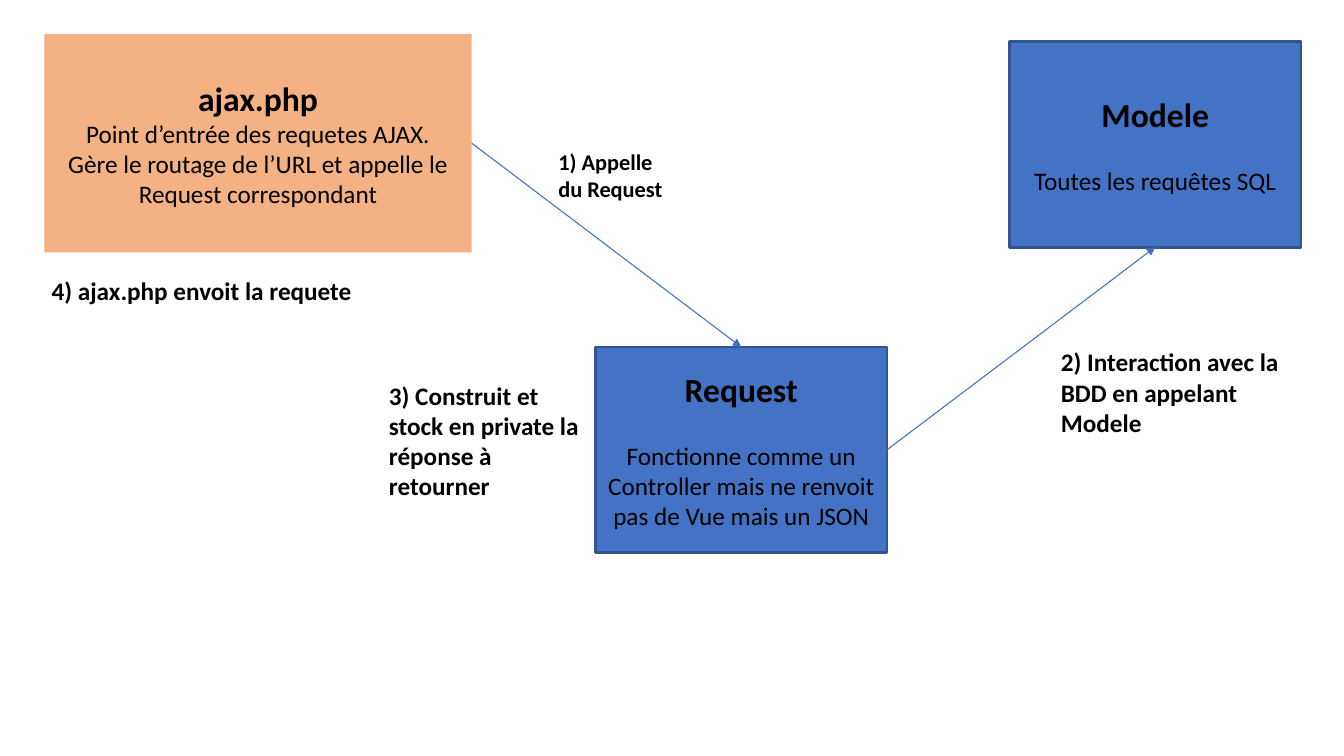
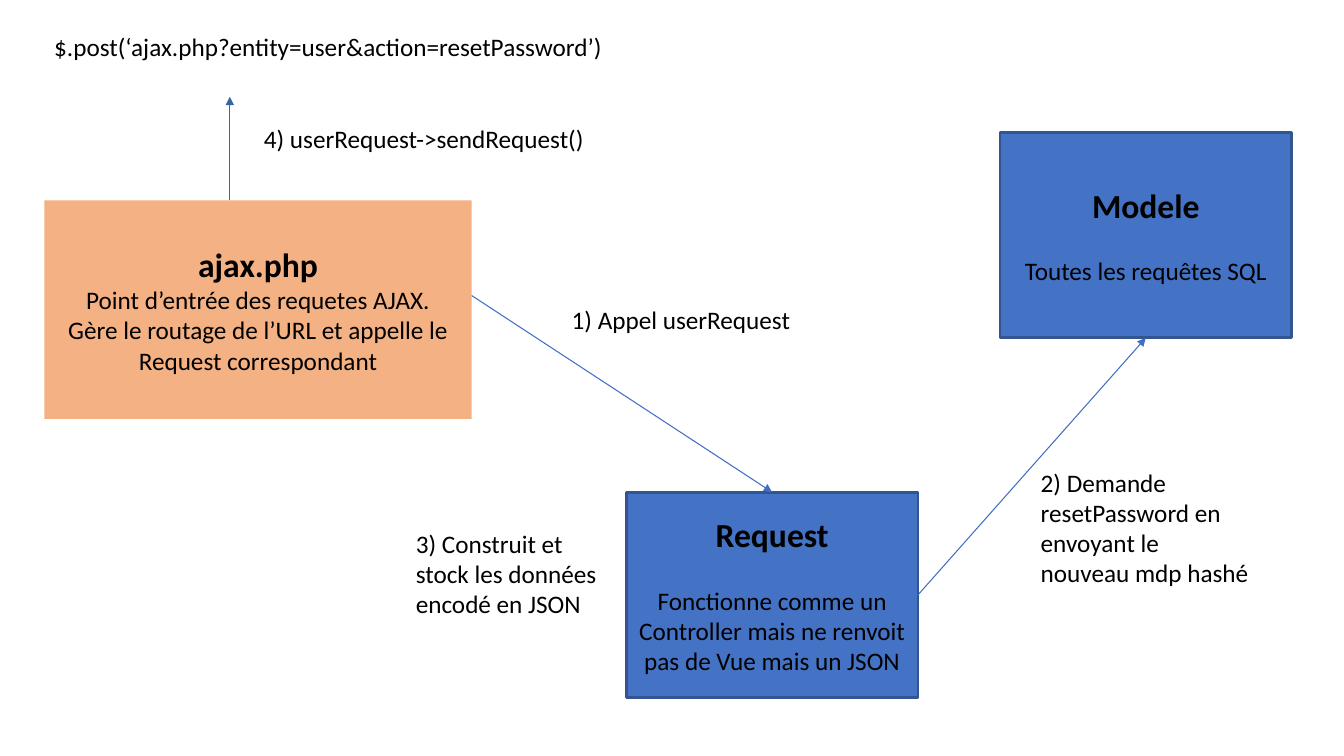
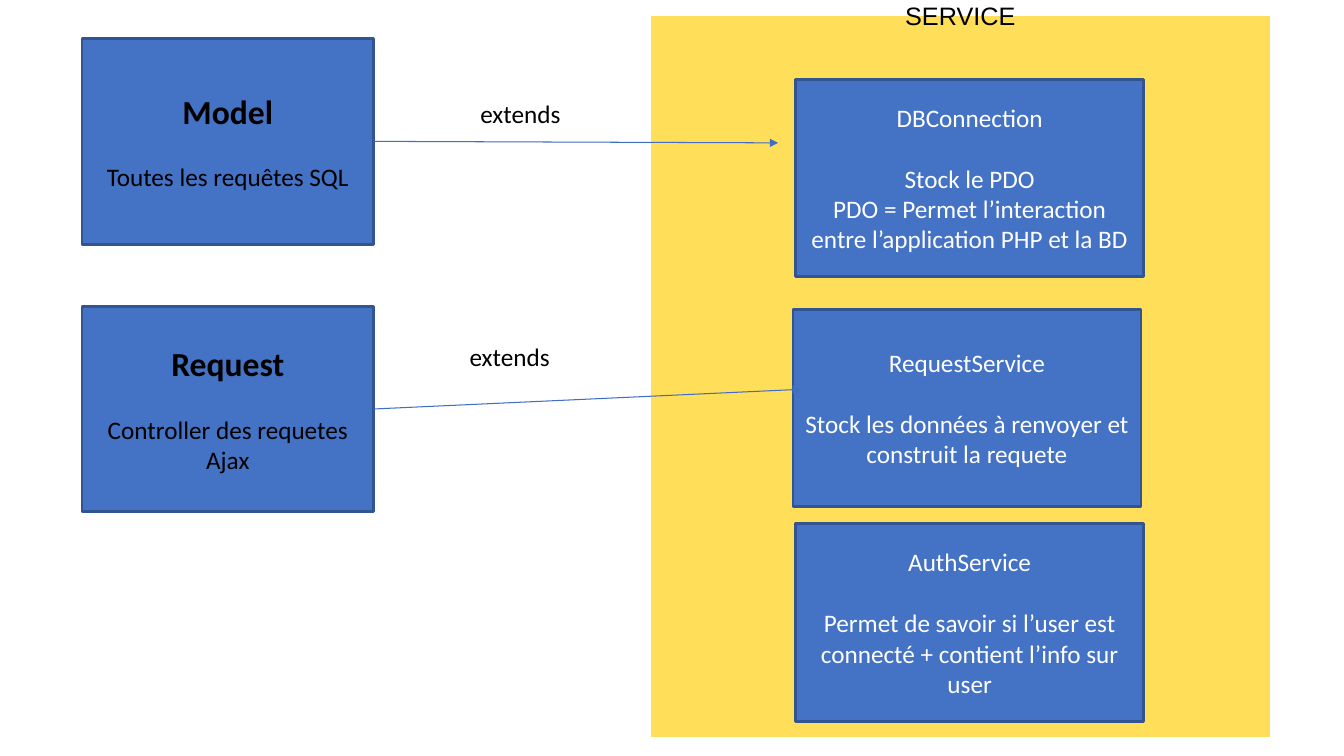
from typing import NamedTuple

from lxml import etree
from pptx import Presentation
from pptx import util as u
from pptx.dml.color import RGBColor
from pptx.enum import shapes, text
from pptx.oxml.ns import qn

WIDTH, HEIGHT = u.Inches(13.33), u.Inches(7.5)
COLUMNS = ROWS = 100

BLACK = RGBColor(0x00, 0x00, 0x00)
WHITE = RGBColor(0xFF, 0xFF, 0xFF)
BLUE = RGBColor(0x44, 0x72, 0xC4)
BLUE_EDGE = RGBColor(0x32, 0x54, 0x91)
ORANGE = RGBColor(0xF4, 0xB1, 0x83)
YELLOW = RGBColor(0xFF, 0xDE, 0x59)
FLOW = RGBColor(0x3F, 0x6E, 0xC2)
REPLY = RGBColor(0x34, 0x65, 0xA4)

ENTRY_SIZE = (31.8, 28.9)
CLASS_SIZE = (21.7, 27.2)
SERVICE_SIZE = (25.9, 26.1)
TOP, BOTTOM, RIGHT = 0, 2, 3
LINE_GAP = 22

ENTRY_ROLE = ("Point d’entrée des requetes AJAX.\n"
              "Gère le routage de l’URL et appelle le Request correspondant")
REQUEST_ROLE = "Fonctionne comme un Controller mais ne renvoit pas de Vue mais un JSON"
MODEL_ROLE = "Toutes les requêtes SQL"


class Site(NamedTuple):
    box: object
    index: int


def grid(column, row):
    return round(WIDTH * column / COLUMNS), round(HEIGHT * row / ROWS)


def write(frame, content, *, size=18, bold=False, color=BLACK, font="Calibri",
          align=text.PP_ALIGN.LEFT, after=0):
    for line in content.split("\n"):
        paragraph = frame.add_paragraph() if frame.text else frame.paragraphs[0]
        paragraph.alignment = align
        paragraph.space_after = u.Pt(after)
        run = paragraph.add_run()
        run.text = line
        run.font.size = u.Pt(size)
        run.font.bold = bold
        run.font.name = font
        run.font.color.rgb = color


def box(slide, place, extent, fill, edge=None, edge_width=2):
    rectangle = slide.shapes.add_shape(
        shapes.MSO_SHAPE.RECTANGLE, *grid(*place), *grid(*extent))
    rectangle.shadow.inherit = False
    rectangle.fill.solid()
    rectangle.fill.fore_color.rgb = fill
    if edge is None:
        rectangle.line.fill.background()
    else:
        rectangle.line.color.rgb = edge
        rectangle.line.width = u.Pt(edge_width)
    rectangle.text_frame.word_wrap = True
    rectangle.text_frame.vertical_anchor = text.MSO_ANCHOR.MIDDLE
    return rectangle


def entry_box(slide, place):
    entry = box(slide, place, ENTRY_SIZE, ORANGE)
    center = text.PP_ALIGN.CENTER
    write(entry.text_frame, "ajax.php", size=24, bold=True, align=center)
    write(entry.text_frame, ENTRY_ROLE, align=center)
    return entry


def class_box(slide, place, name, role):
    component = box(slide, place, CLASS_SIZE, BLUE, BLUE_EDGE)
    center = text.PP_ALIGN.CENTER
    write(component.text_frame, name, size=24, bold=True, align=center, after=LINE_GAP)
    write(component.text_frame, role, align=center)
    return component


def service_box(slide, place, name, role):
    service = box(slide, place, SERVICE_SIZE, BLUE, BLUE_EDGE)
    center = text.PP_ALIGN.CENTER
    write(service.text_frame, name, color=WHITE, align=center, after=LINE_GAP)
    write(service.text_frame, role, color=WHITE, align=center)


def label(slide, place, extent, content, **style):
    frame = slide.shapes.add_textbox(*grid(*place), *grid(*extent)).text_frame
    frame.word_wrap = True
    write(frame, content, **style)
    return frame


def arrow(slide, start, end, color=FLOW):
    corners = [(0, 0) if isinstance(point, Site) else grid(*point)
               for point in (start, end)]
    link = slide.shapes.add_connector(
        shapes.MSO_CONNECTOR.STRAIGHT, *corners[0], *corners[1])
    if isinstance(start, Site):
        link.begin_connect(start.box, start.index)
    if isinstance(end, Site):
        link.end_connect(end.box, end.index)
    link.line.color.rgb = color
    link.line.width = u.Pt(0.75)
    properties = link.element.spPr
    etree.SubElement(properties.find(qn("a:ln")), qn("a:tailEnd"), type="triangle")
    etree.SubElement(properties, qn("a:effectLst"))


def architecture(slide):
    entry = entry_box(slide, (3.3, 4.5))
    request = class_box(slide, (44.3, 45.9), "Request", REQUEST_ROLE)
    model = class_box(slide, (75.1, 5.5), "Modele", MODEL_ROLE)
    arrow(slide, Site(entry, RIGHT), Site(request, TOP))
    arrow(slide, Site(request, RIGHT), Site(model, BOTTOM))
    label(slide, (40.8, 18.9), (12.2, 8.4), "1) Appelle\ndu Request", size=16, bold=True)
    for place, extent, step in (
        ((78.2, 45.2), (18.1, 17.3), "2) Interaction avec la BDD en appelant Modele"),
        ((28.2, 49.6), (16.9, 21.3),
         "3) Construit et stock en private la réponse à retourner"),
        ((3.1, 35.7), (32.2, 5.3), "4) ajax.php envoit la requete"),
    ):
        label(slide, place, extent, step, bold=True)


def password_reset(slide):
    entry_box(slide, (3.3, 26.5))
    request = class_box(slide, (46.6, 65.1), "Request", REQUEST_ROLE)
    model = class_box(slide, (74.4, 17.5), "Modele", MODEL_ROLE)
    arrow(slide, (35.1, 39.1), Site(request, TOP))
    arrow(slide, Site(request, RIGHT), Site(model, BOTTOM))
    for place, extent, step in (
        ((3.3, 3.5), (51.9, 9.3), "$.post(‘ajax.php?entity=user&action=resetPassword’)"),
        ((41.8, 39.6), (20.5, 9.3), "1) Appel userRequest"),
        ((76.7, 61.1), (17, 21.3),
         "2) Demande resetPassword en envoyant le nouveau mdp hashé"),
        ((30.2, 69.2), (16.4, 21.3), "3) Construit et stock les données encodé en JSON"),
        ((18.9, 15.7), (32.1, 5.3), "4) userRequest->sendRequest()"),
    ):
        label(slide, place, extent, step)
    arrow(slide, (17.1, 26.5), (17.1, 12.8), REPLY)


def services(slide):
    box(slide, (48.4, 2.1), (46.1, 95.5), YELLOW, WHITE, 0.75)
    heading = label(slide, (48.4, 0.1), (46.1, 4), "SERVICE", font="Arial",
                    align=text.PP_ALIGN.CENTER)
    heading.margin_top = heading.margin_bottom = 0
    for place, name, role in (
        ((59.2, 10.5), "DBConnection",
         "Stock le PDO\nPDO = Permet l’interaction entre l’application PHP et la BD"),
        ((59, 40.9), "RequestService",
         "Stock les données à renvoyer et construit la requete"),
        ((59.2, 69.3), "AuthService",
         "Permet de savoir si l’user est connecté + contient l’info sur user"),
    ):
        service_box(slide, place, name, role)
    for row, name, role, target, caption in (
        (5.1, "Model", MODEL_ROLE, (57.9, 18.9), (35, 12.3)),
        (40.5, "Request", "Controller des requetes Ajax", (59.6, 51.5), (34.2, 44.5)),
    ):
        child = class_box(slide, (6.1, row), name, role)
        arrow(slide, Site(child, RIGHT), target)
        label(slide, caption, (12.8, 5.3), "extends")


def main():
    deck = Presentation()
    deck.slide_width, deck.slide_height = WIDTH, HEIGHT
    for build in (architecture, password_reset, services):
        build(deck.slides.add_slide(deck.slide_layouts[6]))
    deck.save("out.pptx")


if __name__ == "__main__":
    main()
